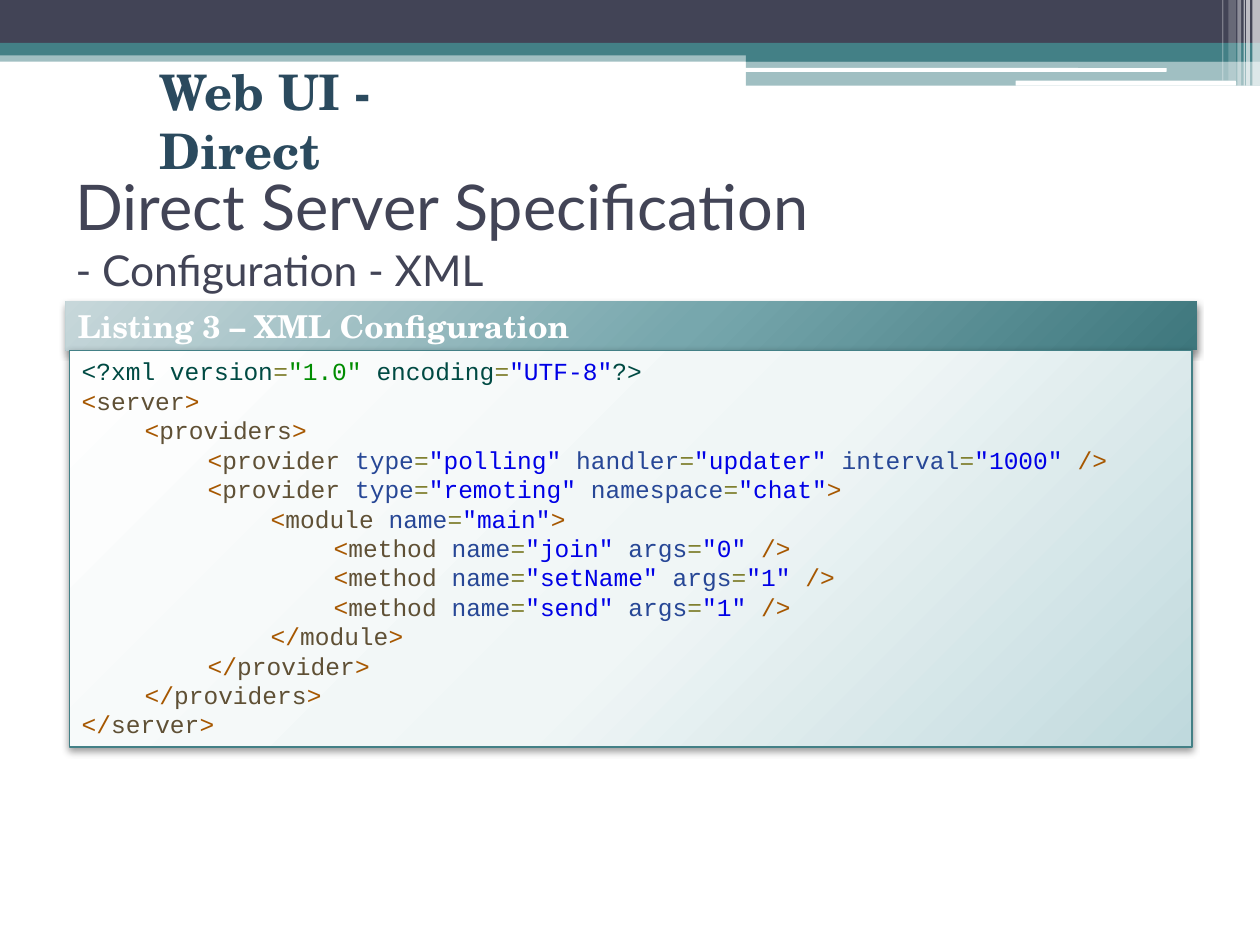
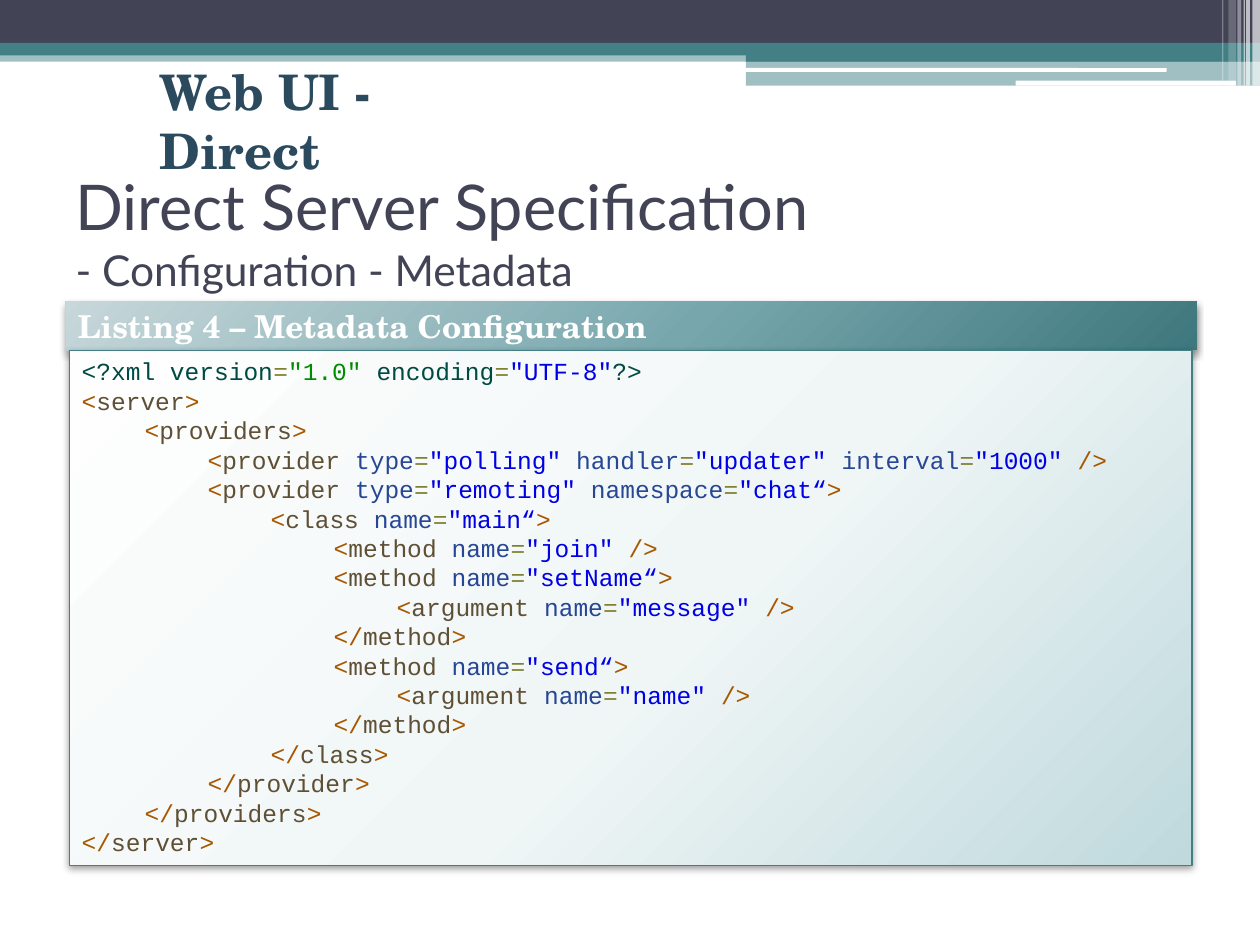
from copy import deepcopy

from pptx import Presentation
from pptx.dml.color import RGBColor
from pptx.enum.shapes import MSO_SHAPE as Shape
from pptx.enum.text import MSO_ANCHOR as Anchor, MSO_AUTO_SIZE as AutoSize, PP_ALIGN as Align
from pptx.oxml import parse_xml
from pptx.oxml.ns import nsdecls, qn
from pptx.util import Inches, Pt

COLORS = {
    "white": "FFFFFF", "black": "000000", "slate": "424456", "teal": "438086",
    "steel": "2B4A5E",
    "declaration": "004A43", "bracket": "A65700", "element": "5F5035",
    "attribute": "274796", "equals": "808030", "value": "0000E6", "number": "008C00",
}
GRADIENTS = {
    "header": {0: "C7D7DA", 55: "77A7AD", 100: "3E777D"},
    "panel": {0: "FEFEFE", 55: "F0F6F6", 100: "BFD9DD"},
}
TITLE_FONT, DISPLAY_FONT, CODE_FONT = "Lato", "TeX Gyre Schola", "Courier New"
COLUMNS, ROWS = 100, 75
CODE_LINE_ROWS, CODE_PADDING_ROWS = 2.35, 0.95

# Column, row, columns, rows, colour, opacity
BANDS = [
    (0, 4, 100, 0.9, "teal", 50),
    (0, 0, 100, 3.4, "slate", 100),
    (0, 3.4, 100, 1, "teal", 100),
    (59.2, 3.9, 40.8, 1, "teal", 100),
    (59.2, 4.8, 40.8, 2, "teal", 50),
]
RULES = [(59.1, 5.4, 33.5, 0.3), (80.6, 6.4, 17.5, 0.4)]
# Column, columns, rows, opacity
STRIPES = [(99.4, 0.6, 6.8, 65), (98.9, 0.3, 6.8, 65), (98.7, 0.1, 6.8, 60),
           (98.2, 0.3, 6.8, 40), (97.5, 0.6, 6.4, 20), (97, 0.1, 6.4, 30)]

XML_LISTING = """\
<?xml version="1.0" encoding="UTF-8"?>
<server>
    <providers>
        <provider type="polling" handler="updater" interval="1000" />
        <provider type="remoting" namespace="chat">
            <module name="main">
                <method name="join" args="0" />
                <method name="setName" args="1" />
                <method name="send" args="1" />
            </module>
        </provider>
    </providers>
</server>"""

METADATA_LISTING = """\
<?xml version="1.0" encoding="UTF-8"?>
<server>
    <providers>
        <provider type="polling" handler="updater" interval="1000" />
        <provider type="remoting" namespace="chat“>
            <class name="main“>
                <method name="join" />
                <method name="setName“>
                    <argument name="message" />
                </method>
                <method name="send“>
                    <argument name="name" />
                </method>
            </class>
        </provider>
    </providers>
</server>"""


def add_text(paragraph, text, *, size, font, color, bold=False):
    run = paragraph.add_run()
    run.text = text
    run.font.size = Pt(size)
    run.font.name = font
    run.font.bold = bold
    run.font.color.rgb = RGBColor.from_string(COLORS[color])
    return run


def color_tokens(tag):
    """Yield (text, colour name) for each part of one XML tag."""
    opening = next(mark for mark in ("<?", "</", "<") if tag.startswith(mark))
    closing = next(mark for mark in ("?>", "/>", ">") if tag.endswith(mark))
    is_declaration = opening == "<?"
    bracket, element, attribute = (
        ["declaration"] * 3 if is_declaration else ["bracket", "element", "attribute"])
    name, *pairs = tag[len(opening):-len(closing)].split(" ")
    yield opening, bracket
    yield name, element
    for pair in pairs:
        key, equals, value = pair.partition("=")
        yield " " + key, attribute
        if equals:
            yield equals, "equals"
            yield value, "number" if is_declaration and value[1].isdigit() else "value"
    yield closing, bracket


class Deck:
    def __init__(self):
        self.presentation = Presentation()
        self.presentation.slide_width = Inches(10)
        self.presentation.slide_height = Inches(7.5)
        self.layout = self.presentation.slide_layouts.get_by_name("Title Only")
        self.slide = None

    def box(self, column, row, columns, rows):
        """Turn grid units into left, top, width and height."""
        column_width = self.presentation.slide_width / COLUMNS
        row_height = self.presentation.slide_height / ROWS
        return [round(length) for length in (column * column_width, row * row_height,
                                             columns * column_width, rows * row_height)]

    def start_slide(self):
        self.slide = self.presentation.slides.add_slide(self.layout)

    def block(self, *place, color="white", opacity=100, kind=Shape.RECTANGLE):
        shape = self.slide.shapes.add_shape(kind, *self.box(*place))
        shape.shadow.inherit = False
        shape.line.fill.background()
        shape.fill.solid()
        shape.fill.fore_color.rgb = RGBColor.from_string(COLORS[color])
        if opacity < 100:
            fill_color = shape.element.spPr.find(qn("a:solidFill"))[0]
            fill_color.append(parse_xml(
                f'<a:alpha {nsdecls("a")} val="{opacity * 1000}"/>'))
        return shape

    def decorate_layout(self):
        """Draw the top bands and move them to the layout all slides use."""
        shapes = [self.block(*place, color=color, opacity=opacity)
                  for *place, color, opacity in BANDS]
        shapes += [self.block(*place, kind=Shape.ROUNDED_RECTANGLE) for place in RULES]
        shapes += [self.block(column, 0, columns, rows, opacity=opacity)
                   for column, columns, rows, opacity in STRIPES]
        for number, shape in enumerate(shapes, start=100):
            shape.element.nvSpPr.cNvPr.id = number
            self.layout.shapes._spTree.append(shape.element)

    def title(self, heading, subheading):
        title = self.slide.shapes.title
        title.left, title.top, title.width, title.height = self.box(5, 12.5, 90, 11.7)
        frame = title.text_frame
        frame.auto_size = AutoSize.NONE
        frame.vertical_anchor = Anchor.MIDDLE
        paragraph = frame.paragraphs[0]
        paragraph.alignment = Align.LEFT
        style = {"font": TITLE_FONT, "color": "slate"}
        run = add_text(paragraph, heading, size=36, **style)
        paragraph.add_line_break()
        paragraph._p.find(qn("a:br")).append(deepcopy(run._r.rPr))
        add_text(paragraph, subheading, size=24.3, **style)

    def topic(self, text):
        text_box = self.slide.shapes.add_textbox(*self.box(11.7, 4.4, 30, 5.7))
        text_box.text_frame.word_wrap = True
        add_text(text_box.text_frame.paragraphs[0], text, size=28,
                 font=DISPLAY_FONT, color="steel", bold=True)

    def raised_block(self, *place, gradient, shadow_opacity, blur):
        """Add a rectangle with a radial gradient and a soft shadow below it."""
        shape = self.block(*place)
        stops = "".join(f'<a:gs pos="{position * 1000}"><a:srgbClr val="{color}"/></a:gs>'
                        for position, color in GRADIENTS[gradient].items())
        properties = shape.element.spPr
        properties.replace(properties.find(qn("a:solidFill")), parse_xml(
            f'<a:gradFill {nsdecls("a")} rotWithShape="1"><a:gsLst>{stops}</a:gsLst>'
            '<a:path path="circle"><a:fillToRect l="-40000" t="-90000" r="140000" '
            'b="190000"/></a:path></a:gradFill>'))
        properties.find(qn("a:effectLst")).append(parse_xml(
            f'<a:outerShdw {nsdecls("a")} blurRad="{Pt(blur)}" dist="{Pt(2)}" '
            f'dir="5400000" rotWithShape="0"><a:srgbClr val="{COLORS["black"]}">'
            f'<a:alpha val="{shadow_opacity * 1000}"/></a:srgbClr></a:outerShdw>'))
        shape.text_frame.word_wrap = True
        return shape

    def listing(self, caption, code):
        header = self.raised_block(5.2, 23.9, 89.8, 3.9, gradient="header",
                                   shadow_opacity=45, blur=4)
        header.text_frame.vertical_anchor = Anchor.MIDDLE
        paragraph = header.text_frame.paragraphs[0]
        paragraph.alignment = Align.LEFT
        add_text(paragraph, caption, size=18, font=DISPLAY_FONT, color="white", bold=True)

        lines = code.splitlines()
        height = CODE_PADDING_ROWS + CODE_LINE_ROWS * len(lines)
        panel = self.raised_block(5.5, 27.8, 89.1, height, gradient="panel",
                                  shadow_opacity=40, blur=4.1)
        panel.line.color.rgb = RGBColor.from_string(COLORS["teal"])
        panel.line.width = Pt(0.75)
        frame = panel.text_frame
        frame.vertical_anchor = Anchor.TOP
        for index, line in enumerate(lines):
            paragraph = frame.add_paragraph() if index else frame.paragraphs[0]
            tag = line.lstrip()
            paragraph.alignment = Align.LEFT
            paragraph.level = (len(line) - len(tag)) // 4
            indent = paragraph._p.get_or_add_pPr()
            indent.set("marL", str(Inches(0.5) * paragraph.level))
            indent.set("indent", "0")
            for text, color in color_tokens(tag):
                add_text(paragraph, text, size=14, font=CODE_FONT, color=color)


def main():
    deck = Deck()
    pages = [
        ("- Configuration - XML", "Listing 3 – XML Configuration", XML_LISTING),
        ("- Configuration - Metadata", "Listing 4 – Metadata Configuration", METADATA_LISTING),
    ]
    for index, (subheading, caption, code) in enumerate(pages):
        deck.start_slide()
        if index == 0:
            deck.decorate_layout()
        deck.title("Direct Server Specification", subheading)
        deck.topic("Web UI - Direct")
        deck.listing(caption, code)
    deck.presentation.save("out.pptx")


if __name__ == "__main__":
    main()
